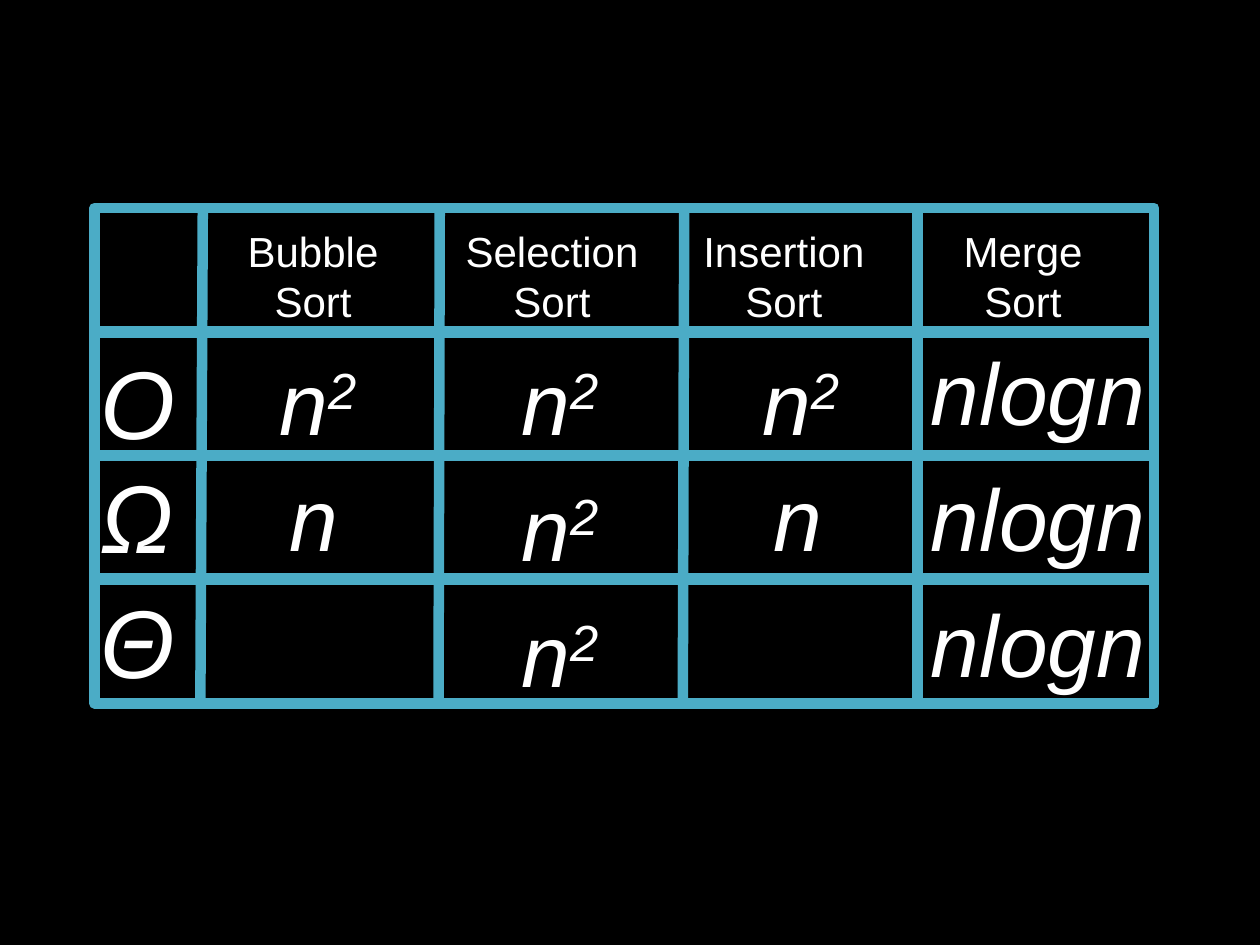
from collections import namedtuple
from dataclasses import dataclass
from lxml.etree import SubElement
from pptx import Presentation
from pptx.dml.color import RGBColor as Rgb
from pptx.enum.shapes import MSO_CONNECTOR as Connector, MSO_SHAPE as Shape
from pptx.enum.text import MSO_ANCHOR as Anchor, PP_ALIGN as Align
from pptx.oxml.ns import qn
from pptx.util import Pt

Box = namedtuple("Box", "left top width height")


@dataclass(frozen=True)
class Theme:
    """Colours, font and sizes of the slide."""
    background: Rgb = Rgb(0, 0, 0)
    ink: Rgb = Rgb(0xFF, 0xFF, 0xFF)
    rule: Rgb = Rgb(0x4B, 0xAC, 0xC6)
    font: str = "Arial"
    heading: int = 24
    formula: int = 50
    symbol: int = 55
    rule_width: int = 6
    inset: float = 7.2


THEME = Theme()
ROW_PITCH = 70.6
ROW_HEIGHT = 71.3
ENTRY_PITCH = 72
LABEL_HEIGHT = 115.2
DIVIDERS = [(61.9, 60.5), (197.3, 196.6), (337, 336.2), (470.2, 470.2)]
HEADINGS = [("Bubble Sort", 59, 131.8), ("Selection Sort", 186.5, 149.8),
            ("Insertion Sort", 319, 149.8), ("Merge Sort", 469.4, 122.4)]
SYMBOLS = [("O", 52.6), ("Ω", 118.1), ("Θ", 189.4)]
SQUARED = [(98.6, [0]), (236.9, [0, 1, 2]), (374.4, [0])]
PLAIN = [("n", 104.4, 67, [1]), ("n", 380.9, 67, [1]),
         ("nlogn", 470.9, 157.7, [0, 1, 2])]


def apply(target, **values):
    """Set each named format value on the target."""
    for name, value in values.items():
        setattr(target, name, value)


def style_rule(line):
    """Give a line the colour and width of the grid."""
    line.color.rgb = THEME.rule
    line.width = Pt(THEME.rule_width)


def add_label(slide, box, text, size, italic=True, align=Align.LEFT, power=""):
    """Place one label, with an optional raised power."""
    label = slide.shapes.add_textbox(*map(Pt, box))
    frame = label.text_frame
    margins = ("margin_left", "margin_top", "margin_right", "margin_bottom")
    apply(frame, word_wrap=True, vertical_anchor=Anchor.MIDDLE,
          **dict.fromkeys(margins, Pt(THEME.inset)))
    paragraph = frame.paragraphs[0]
    paragraph.alignment = align
    for part, baseline in ((text, None), (power, "30000")):
        if part:
            run = paragraph.add_run()
            run.text = part
            apply(run.font, name=THEME.font, size=Pt(size), italic=italic)
            run.font.color.rgb = THEME.ink
            if baseline:
                run._r.get_or_add_rPr().set("baseline", baseline)


def draw_grid(slide, box):
    """Draw the row frames and column dividers inside the box."""
    for row in range(4):
        frame = slide.shapes.add_shape(
            Shape.RECTANGLE, Pt(box.left), Pt(box.top + row * ROW_PITCH),
            Pt(box.width), Pt(ROW_HEIGHT))
        frame.shadow.inherit = False
        frame.fill.background()
        style_rule(frame.line)
    for start, end in DIVIDERS:
        divider = slide.shapes.add_connector(
            Connector.STRAIGHT, Pt(box.left + start), Pt(box.top + 0.7),
            Pt(box.left + end), Pt(box.top + box.height - 1.5))
        style_rule(divider.line)
        SubElement(divider._element.spPr, qn("a:effectLst"))


def draw_headings(slide, box):
    """Name the sorting algorithms along the top row."""
    for name, left, width in HEADINGS:
        place = Box(box.left + left, box.top - 18.7, width, LABEL_HEIGHT)
        add_label(slide, place, name, THEME.heading, False, Align.CENTER)


def draw_symbols(slide, box):
    """Place the bound symbols down the first column."""
    for symbol, top in SYMBOLS:
        place = Box(box.left - 3.6, box.top + top, 97.2, LABEL_HEIGHT)
        add_label(slide, place, symbol, THEME.symbol)


def draw_bounds(slide, box):
    """Place the running times in the body cells."""
    entries = [("n", left, 157.7, rows, 52.6, "2") for left, rows in SQUARED]
    entries += [(*entry, 46.8, "") for entry in PLAIN]
    for text, left, width, rows, top, power in entries:
        for row in rows:
            place = Box(box.left + left, box.top + top + row * ENTRY_PITCH,
                        width, LABEL_HEIGHT)
            add_label(slide, place, text, THEME.formula, power=power)


def build():
    """Build the slide and save it."""
    deck = Presentation()
    apply(deck, slide_width=Pt(720), slide_height=Pt(540))
    slide = deck.slides.add_slide(deck.slide_layouts[6])
    slide.background.fill.solid()
    slide.background.fill.fore_color.rgb = THEME.background
    box = Box(54, 118.8, 605.5, 283)
    for draw in (draw_grid, draw_headings, draw_symbols, draw_bounds):
        draw(slide, box)
    deck.save("out.pptx")


build()
